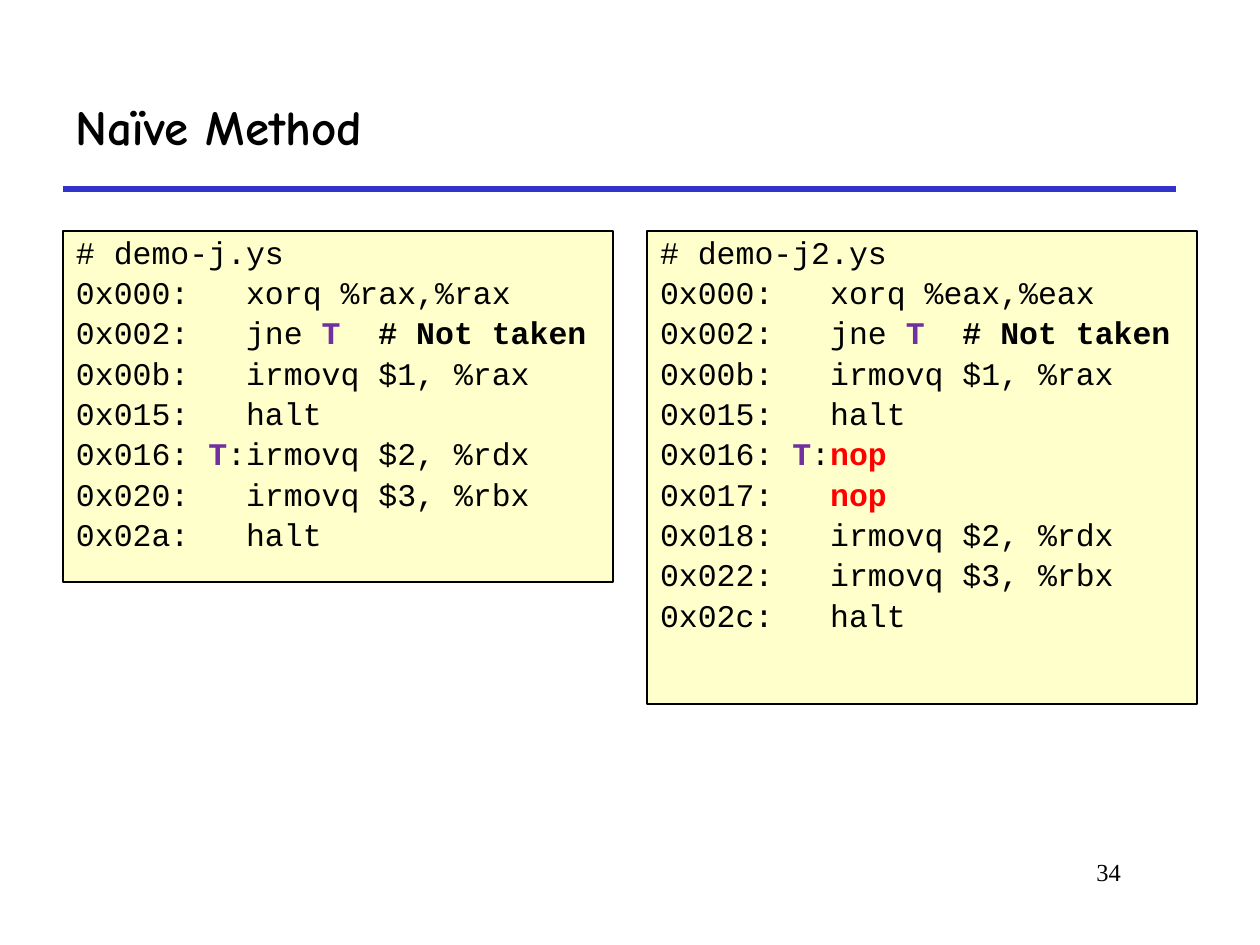
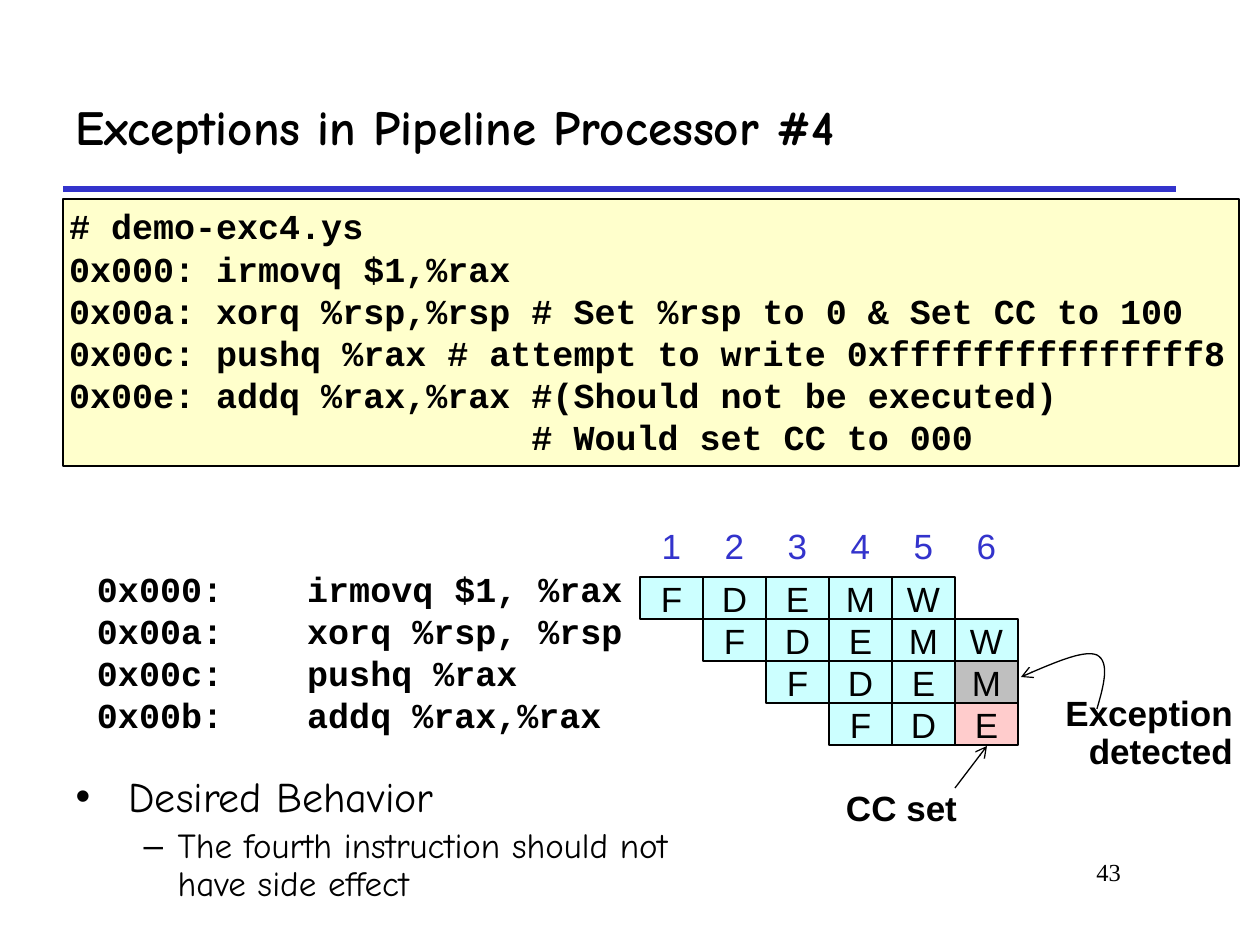
"""Build two lecture slides on pipelined processors: branch padding and exceptions."""
from lxml.etree import SubElement
from pptx import Presentation
from pptx.dml.color import RGBColor
from pptx.enum.shapes import MSO_CONNECTOR, MSO_SHAPE
from pptx.enum.text import MSO_ANCHOR, PP_ALIGN
from pptx.oxml.ns import qn
from pptx.util import Pt

PX = 914400 / 126
BLACK = RGBColor(0x00, 0x00, 0x00)
WHITE = RGBColor(0xFF, 0xFF, 0xFF)
BLUE = RGBColor(0x33, 0x33, 0xCC)
PURPLE = RGBColor(0x70, 0x30, 0xA0)
RED = RGBColor(0xFF, 0x00, 0x00)
CREAM = RGBColor(0xFF, 0xFF, 0xCC)
CYAN = RGBColor(0xCC, 0xFF, 0xFF)
GRAY = RGBColor(0xBF, 0xBF, 0xBF)
PINK = RGBColor(0xFF, 0xCC, 0xCC)
HEADING, CODE, LABEL, NUMBER = "Comic Neue", "Courier New", "Arial", "Times New Roman"
BOLD_PIECES = {"T": PURPLE, "# Not taken": BLACK, "nop": RED}


def add_box(slide, bounds, lines, font, size, color=BLACK, bold=False, fill=None,
            border=0, align=PP_ALIGN.LEFT, anchor=MSO_ANCHOR.TOP, inset=(13, 6), wrap=True):
    """Add a rectangle of text; a bar in a line separates its runs."""
    left, top, width, height = [round(length * PX) for length in bounds]
    shape = slide.shapes.add_shape(MSO_SHAPE.RECTANGLE, left, top, width, height)
    shape.shadow.inherit = False
    if fill is None:
        shape.fill.background()
    else:
        shape.fill.solid()
        shape.fill.fore_color.rgb = fill
    if border:
        shape.line.color.rgb = BLACK
        shape.line.width = Pt(border)
    else:
        shape.line.fill.background()
    text_frame = shape.text_frame
    text_frame.word_wrap = wrap
    text_frame.vertical_anchor = anchor
    text_frame.margin_left = text_frame.margin_right = round(inset[0] * PX)
    text_frame.margin_top = text_frame.margin_bottom = round(inset[1] * PX)
    text_frame.text = "\n".join(line.split("|")[0] for line in lines)
    for paragraph, line in zip(text_frame.paragraphs, lines):
        paragraph.alignment = align
        for piece in line.split("|")[1:]:
            paragraph.add_run().text = piece
        for run in paragraph.runs:
            run.font.name = font
            run.font.size = Pt(size)
            run.font.bold = bold or run.text.strip() in BOLD_PIECES
            run.font.color.rgb = BOLD_PIECES.get(run.text.strip(), color)
    return shape


def add_line(slide, start, end, color, width):
    """Add a straight line without a shadow."""
    points = [round(length * PX) for length in (*start, *end)]
    connector = slide.shapes.add_connector(MSO_CONNECTOR.STRAIGHT, *points)
    connector.line.color.rgb = color
    connector.line.width = Pt(width)
    SubElement(connector._element.spPr, qn("a:effectLst"))
    return connector


presentation = Presentation()
presentation.slide_width = round(1260 * PX)
presentation.slide_height = round(945 * PX)

slides = []
for layout, title_text, number in (
    (5, "Naïve Method", "34"),
    (1, "Exceptions in Pipeline Processor #4", "43"),
):
    slide = presentation.slides.add_slide(presentation.slide_layouts[layout])
    slides.append(slide)
    add_line(slide, (63, 189), (1176, 189), BLUE, 3)
    title = slide.shapes.title
    title.left, title.top = round(63 * PX), round(63 * PX)
    title.width, title.height = round(1113 * PX), round(126 * PX)
    title.text_frame.text = title_text
    title.text_frame.vertical_anchor = MSO_ANCHOR.MIDDLE
    paragraph = title.text_frame.paragraphs[0]
    paragraph.alignment = PP_ALIGN.LEFT
    font = paragraph.runs[0].font
    font.name, font.size, font.bold = HEADING, Pt(28), True
    font.color.rgb = BLACK
    add_box(slide, (955, 851, 179, 63), [number], NUMBER, 14, align=PP_ALIGN.RIGHT)

branch_slide, exception_slide = slides

branch_start = ["0x002:   jne |T|  # Not taken", "0x00b:   irmovq $1, %rax", "0x015:   halt"]
branch_programs = [
    (63, 351, ["# demo-j.ys", "0x000:   xorq %rax,%rax", *branch_start,
               "0x016: |T|:irmovq $2, %rdx", "0x020:   irmovq $3, %rbx",
               "0x02a:   halt"]),
    (647, 473, ["# demo-j2.ys", "0x000:   xorq %eax,%eax", *branch_start,
                "0x016: |T|:|nop", "0x017:   |nop", "0x018:   irmovq $2, %rdx",
                "0x022:   irmovq $3, %rbx", "0x02c:   halt"]),
]
for left, height, program in branch_programs:
    listing = add_box(branch_slide, (left, 231, 550, height), program, CODE, 18,
                      fill=CREAM, border=0.75)
    for index, paragraph in enumerate(listing.text_frame.paragraphs):
        paragraph.line_spacing = 0.9
        paragraph.space_before = Pt(3.6 if index else 0)

body = exception_slide.placeholders[1]
body.left, body.top = round(63 * PX), round(770 * PX)
body.width, body.height = round(672 * PX), round(134 * PX)
body.text_frame.text = "Desired Behavior\nThe fourth instruction should not have side effect"
body_styles = [(0, 24, 53, 53, 0), (1, 20, 102, 34, 4)]
for paragraph, (level, size, margin, hanging, before) in zip(body.text_frame.paragraphs, body_styles):
    paragraph.level = level
    paragraph.line_spacing = 0.9
    paragraph.space_before = Pt(before)
    properties = paragraph._p.get_or_add_pPr()
    properties.set("marL", str(round(margin * PX)))
    properties.set("indent", str(round(-hanging * PX)))
    font = paragraph.runs[0].font
    font.name, font.size = HEADING, Pt(size)
    font.color.rgb = BLACK

exception_program = [
    "# demo-exc4.ys",
    "0x000: irmovq $1,%rax",
    "0x00a: xorq %rsp,%rsp # Set %rsp to 0 & Set CC to 100",
    "0x00c: pushq %rax # attempt to write 0xfffffffffffffff8",
    "0x00e: addq %rax,%rax #(Should not be executed)",
    "                      # Would set CC to 000",
]
add_box(exception_slide, (63, 199, 1176, 267), exception_program, CODE, 20, bold=True,
        fill=CREAM, border=0.75, inset=(6, 6))
exception_label = add_box(exception_slide, (1050, 690, 189, 89), ["Exception detected"], LABEL, 20,
                          bold=True, align=PP_ALIGN.RIGHT, inset=(6, 6))
exception_label.text_frame.paragraphs[0].line_spacing = 0.9

for cycle in range(6):
    add_box(exception_slide, (640 + 63 * cycle, 524, 63, 42), [str(cycle + 1)], LABEL, 20, BLUE,
            fill=WHITE, align=PP_ALIGN.CENTER, anchor=MSO_ANCHOR.MIDDLE, wrap=False)

pipeline = [
    ("0x000:    irmovq $1, %rax", "FDEMW"),
    ("0x00a:    xorq %rsp, %rsp", "FDEMW"),
    ("0x00c:    pushq %rax", "FDEM"),
    ("0x00b:    addq %rax,%rax", "FDE"),
]
marked_stages = {(2, 5): GRAY, (3, 5): PINK}
for row, (instruction, stages) in enumerate(pipeline):
    add_box(exception_slide, (84, 567 + 42 * row, 358, 42), [instruction], CODE, 20, bold=True,
            fill=WHITE, anchor=MSO_ANCHOR.MIDDLE, wrap=False)
    for cycle, stage in enumerate(stages, start=row):
        add_box(exception_slide, (640 + 63 * cycle, 577 + 42 * row, 63, 42), [stage], LABEL, 20,
                fill=marked_stages.get((row, cycle), CYAN), border=1,
                align=PP_ALIGN.CENTER, anchor=MSO_ANCHOR.MIDDLE, wrap=False)

add_box(exception_slide, (840, 780, 168, 55), ["CC set"], LABEL, 20, bold=True, inset=(6, 6))
cc_arrow = add_line(exception_slide, (955, 788), (987, 746), BLACK, 0.75)

curve_points = [(1104, 685), (1110, 662), (1097, 655), (1085, 650), (1053, 663), (1021, 677)]
builder = exception_slide.shapes.build_freeform(1097, 709, scale=PX)
builder.add_line_segments(curve_points, close=False)
exception_arrow = builder.convert_to_shape()
exception_arrow.shadow.inherit = False
exception_arrow.fill.background()
exception_arrow.line.color.rgb = BLACK
exception_arrow.line.width = Pt(0.75)
outline = exception_arrow._element.find(".//" + qn("a:path"))
segments = outline.findall(qn("a:lnTo"))
for start in (0, 3):
    curve = SubElement(outline, qn("a:cubicBezTo"))
    for segment in segments[start:start + 3]:
        curve.append(segment[0])
        outline.remove(segment)

for arrow in (cc_arrow, exception_arrow):
    SubElement(arrow.line._get_or_add_ln(), qn("a:tailEnd"), type="arrow")

presentation.save("out.pptx")
